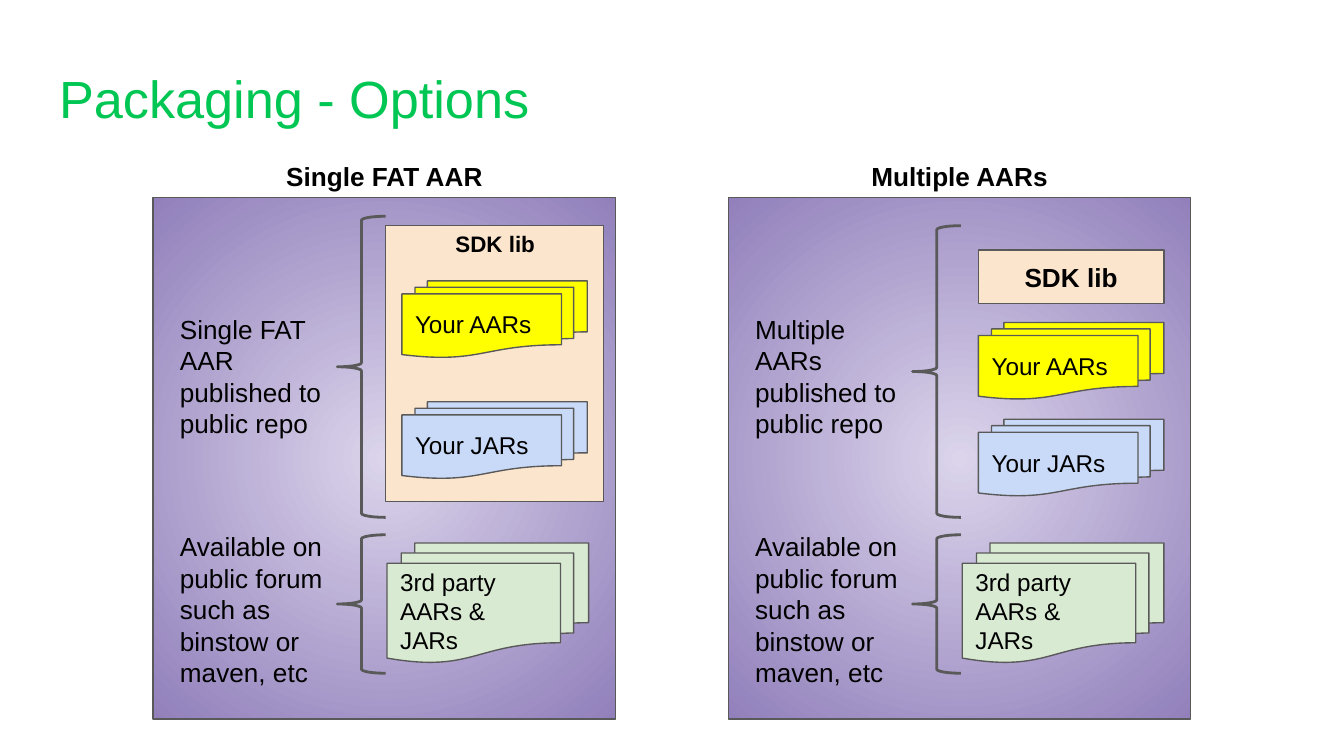
from lxml import etree
from pptx import Presentation
from pptx.dml.color import RGBColor
from pptx.enum.shapes import MSO_SHAPE as SHAPE
from pptx.enum.text import MSO_ANCHOR as ANCHOR, PP_ALIGN as ALIGN
from pptx.oxml import parse_xml
from pptx.oxml.ns import nsdecls, qn
from pptx.util import Inches, Pt

COLORS = {
    "title": "00C653", "text": "000000", "line": "595959",
    "panel_in": "DBD4EB", "panel_out": "9180BB", "sdk": "FCE5CD",
    "aar": "FFFF00", "jar": "C9DAF8", "third_party": "D9EAD3",
}


def rgb(name):
    return RGBColor.from_string(COLORS[name])


def put_text(sp, text, size=14, bold=False, color="text", align=ALIGN.LEFT,
             anchor=ANCHOR.TOP):
    tf = sp.text_frame
    tf.word_wrap = True
    tf.vertical_anchor = anchor
    tf.margin_left = tf.margin_right = Inches(0.1)
    tf.margin_top = tf.margin_bottom = Inches(0.1)
    p = tf.paragraphs[0]
    p.alignment = align
    r = p.add_run()
    r.text = text
    r.font.name = "Arial"
    r.font.size = Pt(size)
    r.font.bold = bold
    r.font.color.rgb = rgb(color)


def add_text(slide, x, y, w, h, text, **fmt):
    put_text(slide.shapes.add_textbox(Inches(x), Inches(y), Inches(w), Inches(h)),
             text, **fmt)


def add_box(slide, kind, x, y, w, h, fill=None, line=0.75):
    sp = slide.shapes.add_shape(kind, Inches(x), Inches(y), Inches(w), Inches(h))
    sp.shadow.inherit = False
    if fill:
        sp.fill.solid()
        sp.fill.fore_color.rgb = rgb(fill)
    else:
        sp.fill.background()
    sp.line.color.rgb = rgb("line")
    sp.line.width = Pt(line)
    return sp


def fill_radial(sp, inner, outer):
    """Fill a shape with a gradient that spreads from its centre."""
    grad = parse_xml(f'<a:gradFill {nsdecls("a")} rotWithShape="1"><a:gsLst/></a:gradFill>')
    stops = grad.find(qn("a:gsLst"))
    for pos, name in ((0, inner), (100000, outer)):
        gs = etree.SubElement(stops, qn("a:gs"), pos=str(pos))
        etree.SubElement(gs, qn("a:srgbClr"), val=COLORS[name])
    circle = etree.SubElement(grad, qn("a:path"), path="circle")
    etree.SubElement(circle, qn("a:fillToRect"),
                     {side: "50000" for side in "ltrb"})
    sp_pr = sp._element.spPr
    no_fill = sp_pr.find(qn("a:noFill"))
    sp_pr.replace(no_fill, grad)


def add_documents(slide, x, y, w, h, text, fill):
    sp = add_box(slide, SHAPE.FLOWCHART_MULTIDOCUMENT, x, y, w, h, fill)
    put_text(sp, text, size=13, anchor=ANCHOR.MIDDLE)


def add_brace(slide, x, y, h):
    sp = add_box(slide, SHAPE.LEFT_BRACE, x, y, 0.36, h, line=1.5)
    sp.adjustments[0] = 0.083
    sp.adjustments[1] = 0.5


def add_panel(slide, x, heading, published):
    """Draw what both options share: panel, heading, notes, third-party part."""
    add_text(slide, x, 1.09, 3.44, 0.31, heading, bold=True, align=ALIGN.CENTER)
    fill_radial(add_box(slide, SHAPE.RECTANGLE, x, 1.47, 3.44, 3.88),
                "panel_in", "panel_out")
    add_text(slide, x + 0.1, 2.23, 1.28, 1.39, published)
    add_text(slide, x + 0.1, 3.85, 1.28, 1.29,
             "Available on public forum such as binstow or maven, etc")
    add_documents(slide, x + 1.74, 4.04, 1.5, 0.89,
                  "3rd party AARs & JARs", "third_party")
    add_brace(slide, x + 1.37, 3.98, 1.03)


def add_own_libraries(slide, x, aar_y, jar_y):
    add_documents(slide, x, aar_y, 1.38, 0.57, "Your AARs", "aar")
    add_documents(slide, x, jar_y, 1.38, 0.57, "Your JARs", "jar")


def add_single_option(slide, x):
    add_panel(slide, x, "Single FAT AAR", "Single FAT AAR published to public repo")
    add_box(slide, SHAPE.RECTANGLE, x + 1.73, 1.68, 1.62, 2.05, "sdk")
    add_text(slide, x + 1.74, 1.61, 1.61, 0.2, "SDK lib", size=12, bold=True,
             align=ALIGN.CENTER)
    add_own_libraries(slide, x + 1.85, 2.09, 2.99)
    add_brace(slide, x + 1.37, 1.61, 2.24)


def add_multiple_option(slide, x):
    add_panel(slide, x, "Multiple AARs", "Multiple AARs published to public repo")
    sdk = add_box(slide, SHAPE.RECTANGLE, x + 1.86, 1.86, 1.38, 0.4, "sdk")
    put_text(sdk, "SDK lib", bold=True, align=ALIGN.CENTER, anchor=ANCHOR.MIDDLE)
    add_own_libraries(slide, x + 1.86, 2.4, 3.12)
    add_brace(slide, x + 1.37, 1.68, 2.17)


def add_title(slide, text):
    title = slide.shapes.title
    title.left, title.top = Inches(0.34), Inches(0.39)
    title.width, title.height = Inches(9.32), Inches(0.63)
    put_text(title, text, size=28, color="title")


def main():
    prs = Presentation()
    prs.slide_width = Inches(10)
    prs.slide_height = Inches(10 * 9 / 16)
    slide = prs.slides.add_slide(prs.slide_layouts[5])
    add_title(slide, "Packaging - Options")
    add_single_option(slide, 1.14)
    add_multiple_option(slide, 5.42)
    prs.save("out.pptx")


if __name__ == "__main__":
    main()
